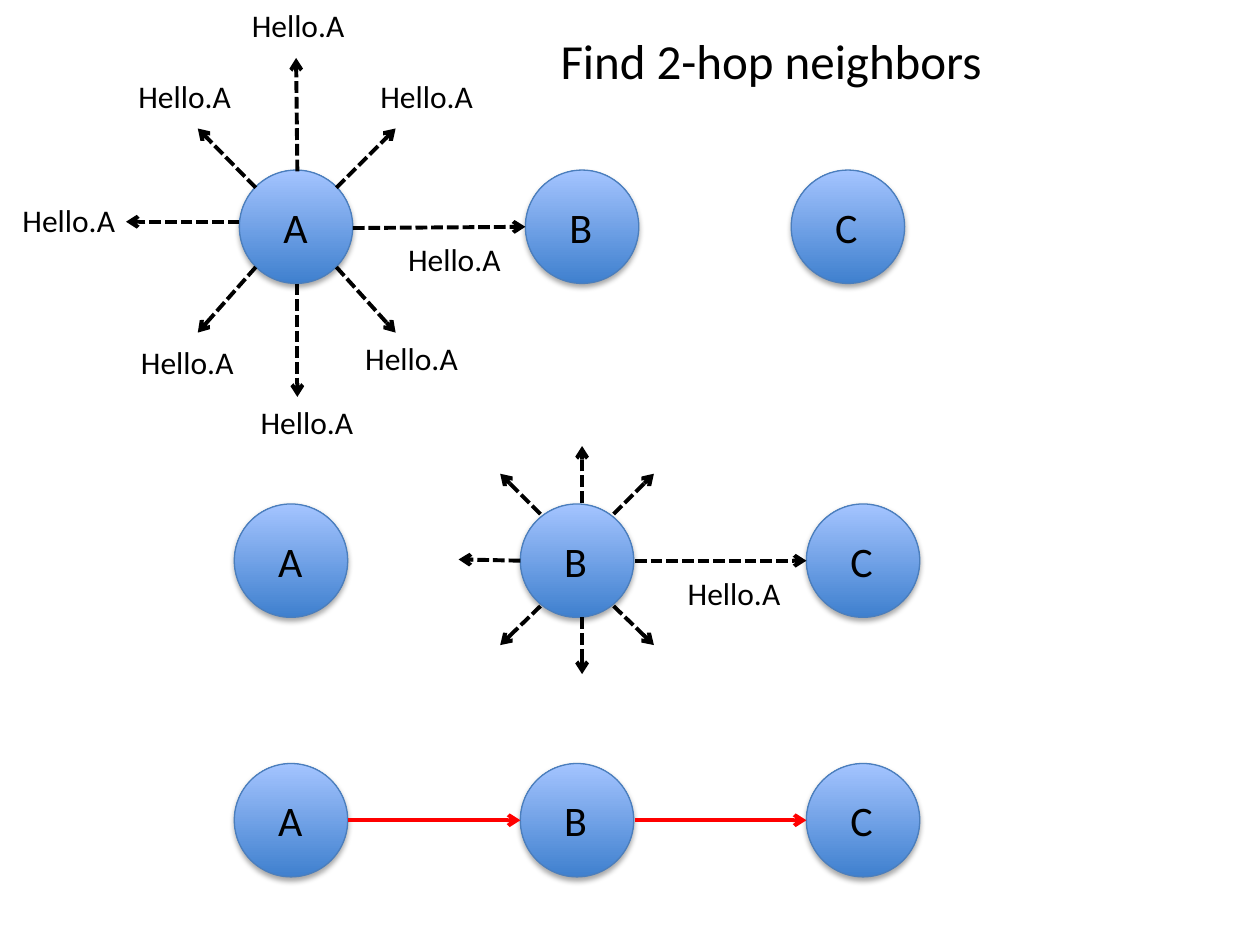
from lxml import etree
from pptx import Presentation
from pptx.dml.color import RGBColor
from pptx.enum.dml import MSO_LINE
from pptx.enum.shapes import MSO_CONNECTOR, MSO_SHAPE
from pptx.enum.text import MSO_AUTO_SIZE
from pptx.oxml import parse_xml
from pptx.oxml.ns import nsdecls, qn
from pptx.util import Inches, Pt

BLACK = RGBColor(0x00, 0x00, 0x00)
RED = RGBColor(0xFF, 0x00, 0x00)
NODE_DARK = RGBColor(0x3F, 0x80, 0xCE)
NODE_LIGHT = RGBColor(0xA4, 0xC4, 0xFF)
NODE_EDGE = RGBColor(0x4B, 0x7E, 0xBC)

# Content: all lengths in inches
TITLE = ("Find 2-hop neighbors", 4.35, 0.19, 3.91, 0.57)
MESSAGE = "Hello.A"
MESSAGE_POSITIONS = [
    (1.9, 0), (2.92, 0.56), (3.14, 1.86), (2.8, 2.64),
    (1.97, 3.15), (1.02, 2.67), (0.08, 1.55), (1, 0.56),
    (5.36, 4.51),
]
NODE_ROWS = [  # top, left of each node
    (1.35, {"A": 1.9, "B": 4.17, "C": 6.28}),
    (4, {"A": 1.86, "B": 4.13, "C": 6.4}),
    (6.06, {"A": 1.86, "B": 4.13, "C": 6.4}),
]
BROADCASTS = [  # start x, start y, end x, end y; clockwise from the top
    # A floods its hello
    (2.36, 1.36, 2.35, 0.46), (2.67, 1.49, 3.14, 1.02),
    (2.8, 1.81, 4.17, 1.8), (2.67, 2.12, 3.14, 2.64),
    (2.36, 2.25, 2.36, 3.15), (2.03, 2.12, 1.57, 2.64),
    (1.9, 1.76, 1, 1.76), (2.03, 1.49, 1.57, 1.02),
    # B forwards it
    (4.62, 3.99, 4.62, 3.54), (4.87, 4.08, 5.19, 3.76),
    (5.04, 4.45, 6.4, 4.45), (4.87, 4.81, 5.19, 5.12),
    (4.62, 4.9, 4.62, 5.35), (4.29, 4.81, 3.97, 5.12),
    (4.13, 4.45, 3.64, 4.44), (4.29, 4.08, 3.97, 3.76),
]
ROUTE = [(2.76, 6.51, 4.13, 6.51), (5.04, 6.51, 6.4, 6.51)]

NODE_SIZE = 0.9
SHADOW_XML = (
    f'<a:effectLst {nsdecls("a")}>'
    '<a:outerShdw blurRad="40000" dist="23000" dir="5400000" rotWithShape="0">'
    '<a:srgbClr val="000000"><a:alpha val="35000"/></a:srgbClr>'
    '</a:outerShdw></a:effectLst>'
)

presentation = Presentation()
presentation.slide_width, presentation.slide_height = Inches(10), Inches(7.5)
slide = presentation.slides.add_slide(presentation.slide_layouts[6])


def add_text(text, left, top, width, height, size):
    box = slide.shapes.add_textbox(*map(Inches, (left, top, width, height)))
    frame = box.text_frame
    frame.word_wrap = False
    frame.auto_size = MSO_AUTO_SIZE.SHAPE_TO_FIT_TEXT
    run = frame.paragraphs[0].add_run()
    run.text = text
    for name, value in {"name": "Calibri", "size": Pt(size)}.items():
        setattr(run.font, name, value)
    run.font.color.rgb = BLACK


def add_node(name, left, top):
    node = slide.shapes.add_shape(
        MSO_SHAPE.OVAL, *map(Inches, (left, top, NODE_SIZE, NODE_SIZE)))
    node.fill.gradient()
    node.fill.gradient_angle = 90
    for stop, color in zip(node.fill.gradient_stops, (NODE_DARK, NODE_LIGHT)):
        stop.color.rgb = color
    node.line.color.rgb = NODE_EDGE
    node.line.width = Pt(0.75)
    node._element.spPr.append(parse_xml(SHADOW_XML))
    add_text(name, left + 0.25, top + 0.2, 0.44, 0.5, 24)


def add_arrow(ends, color, dash=None):
    arrow = slide.shapes.add_connector(MSO_CONNECTOR.STRAIGHT, *map(Inches, ends))
    arrow.line.color.rgb = color
    arrow.line.width = Pt(2.25)
    if dash:
        arrow.line.dash_style = dash
    properties = arrow._element.spPr
    etree.SubElement(properties.find(qn("a:ln")), qn("a:tailEnd"), type="arrow")
    etree.SubElement(properties, qn("a:effectLst"))


# Nodes
for row_top, nodes in NODE_ROWS:
    for node_name, node_left in nodes.items():
        add_node(node_name, node_left, row_top)

# Arrows
for ends in BROADCASTS:
    add_arrow(ends, BLACK, MSO_LINE.SQUARE_DOT)
for ends in ROUTE:
    add_arrow(ends, RED)

# Title and messages
add_text(*TITLE, 28)
for message_left, message_top in MESSAGE_POSITIONS:
    add_text(MESSAGE, message_left, message_top, 1.02, 0.4, 18)

presentation.save("out.pptx")
